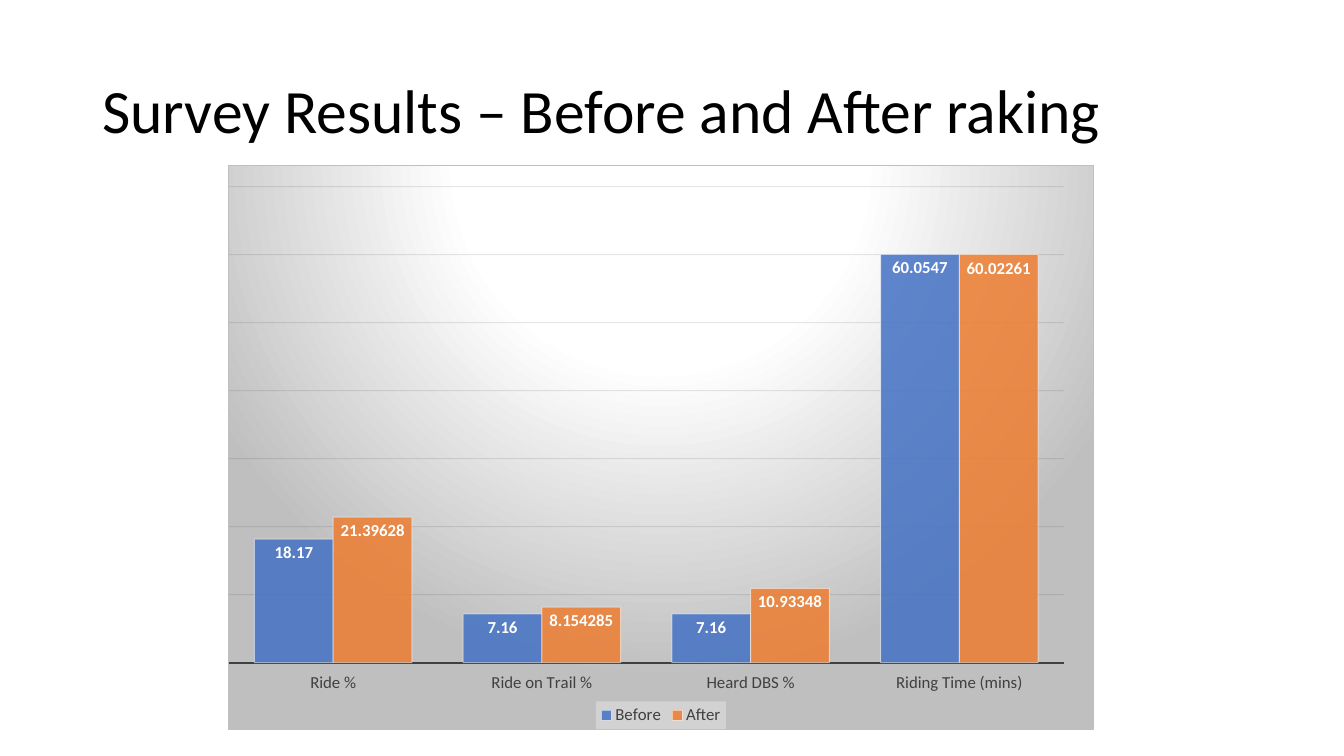
from pptx import Presentation
from pptx.chart.data import CategoryChartData
from pptx.dml.color import RGBColor
from pptx.enum.chart import (XL_CHART_TYPE, XL_LABEL_POSITION,
                             XL_LEGEND_POSITION, XL_TICK_LABEL_POSITION,
                             XL_TICK_MARK)
from pptx.enum.text import MSO_ANCHOR
from pptx.oxml import parse_xml
from pptx.oxml.ns import nsdecls, qn
from pptx.util import Pt

TITLE = "Survey Results – Before and After raking"
CATS = ["Ride %", "Ride on Trail %", "Heard DBS %", "Riding Time (mins)"]
SERIES = [
    ("Before", "blue", (18.17, 7.16, 7.16, 60.0547)),
    ("After", "orange", (21.39628, 8.154285, 10.93348, 60.02261)),
]
COLORS = {
    "black": "000000", "white": "FFFFFF", "text": "404040", "grid": "0D0D0D",
    "gray": "BFBFBF", "pale": "F2F2F2", "blue": "4472C4", "orange": "ED7D31",
}
FONT = "Calibri"
TITLE_BOX = (66, 28.8, 1044, 104.4)
CHART_BOX = (162.72, 118.08, 618.48, 403.2)
PLOT = {"x": 0, "y": 0.037, "w": 0.966, "h": 0.845}
STOPS = [(0, "white"), (39, "white"), (100, "gray")]


def rgb(name):
    return RGBColor.from_string(COLORS[name])


def style(font, size, color, bold=False):
    font.name, font.size, font.bold = FONT, Pt(size), bold
    font.color.rgb = rgb(color)


def stroke(line, color, width):
    line.color.rgb = rgb(color)
    line.width = Pt(width)


def fade(node, *parts):
    for color, part in zip(node.iter(qn("a:srgbClr")), parts):
        color.append(parse_xml(f'<a:alpha {nsdecls("a")} val="{part * 1000}"/>'))


def make(body, tag="spPr"):
    return parse_xml(f'<c:{tag} {nsdecls("c", "a")}>{body}</c:{tag}>')


def solid(name):
    return f'<a:solidFill><a:srgbClr val="{COLORS[name]}"/></a:solidFill>'


def add_title(slide):
    frame = slide.shapes.add_textbox(*map(Pt, TITLE_BOX)).text_frame
    frame.word_wrap = True
    frame.vertical_anchor = MSO_ANCHOR.MIDDLE
    para = frame.paragraphs[0]
    para.line_spacing = 0.9
    run = para.add_run()
    run.text = TITLE
    style(run.font, 44, "black")


def set_axes(chart):
    cat, val = chart.category_axis, chart.value_axis
    cat.major_tick_mark = cat.minor_tick_mark = XL_TICK_MARK.NONE
    cat.tick_label_position = XL_TICK_LABEL_POSITION.LOW
    style(cat.tick_labels.font, 12, "text")
    stroke(cat.format.line, "text", 1.5)
    val.minimum_scale, val.maximum_scale, val.major_unit = 0, 70, 10
    val.has_major_gridlines = True
    stroke(val.major_gridlines.format.line, "grid", 0.75)
    fade(val._element.find(qn("c:majorGridlines")), 10)
    val.visible = False


def set_bars(plot):
    plot.gap_width, plot.overlap = 65, 0
    plot.vary_by_categories = False
    for bar, (_, color, _) in zip(plot.series, SERIES):
        bar.invert_if_negative = False
        bar.format.fill.solid()
        bar.format.fill.fore_color.rgb = rgb(color)
        stroke(bar.format.line, "white", 0.75)
        fade(bar._element.find(qn("c:spPr")), 85, 50)
        tags = bar.data_labels
        tags.show_value = True
        tags.position = XL_LABEL_POSITION.INSIDE_END
        style(tags.font, 12, "white", True)


def set_legend(chart):
    chart.has_legend = True
    legend = chart.legend
    legend.position = XL_LEGEND_POSITION.BOTTOM
    legend.include_in_layout = False
    style(legend.font, 12, "text")
    back = make(solid("pale"))
    fade(back, 39)
    legend._element.find(qn("c:txPr")).addprevious(back)


def set_area(chart):
    stops = "".join(f'<a:gs pos="{pos * 1000}"><a:srgbClr val="{COLORS[name]}"/></a:gs>'
                    for pos, name in STOPS)
    fill = (f'<a:gradFill><a:gsLst>{stops}</a:gsLst><a:path path="circle">'
            '<a:fillToRect l="50000" t="-80000" r="50000" b="180000"/>'
            '</a:path></a:gradFill>')
    edge = f'<a:ln w="{Pt(0.75)}">{solid("gray")}</a:ln>'
    root = chart._chartSpace.find(qn("c:chart"))
    root.addnext(make(fill + edge))
    area = root.find(qn("c:plotArea"))
    for old in area.findall(qn("c:layout")):
        area.remove(old)
    modes = "".join(f'<c:{key}Mode val="edge"/>' for key in "xy")
    sizes = "".join(f'<c:{key} val="{size}"/>' for key, size in PLOT.items())
    area.insert(0, make('<c:manualLayout><c:layoutTarget val="inner"/>'
                        f'{modes}{sizes}</c:manualLayout>', "layout"))


def add_graph(slide):
    data = CategoryChartData()
    data.categories = CATS
    for name, _, vals in SERIES:
        data.add_series(name, vals)
    chart = slide.shapes.add_chart(XL_CHART_TYPE.COLUMN_CLUSTERED,
                                   *map(Pt, CHART_BOX), data).chart
    chart.has_title = False
    style(chart.font, 10, "black")
    set_axes(chart)
    set_bars(chart.plots[0])
    set_legend(chart)
    set_area(chart)


def main():
    deck = Presentation()
    deck.slide_width, deck.slide_height = Pt(960), Pt(540)
    slide = deck.slides.add_slide(deck.slide_layouts[6])
    add_title(slide)
    add_graph(slide)
    deck.save("out.pptx")


if __name__ == "__main__":
    main()
